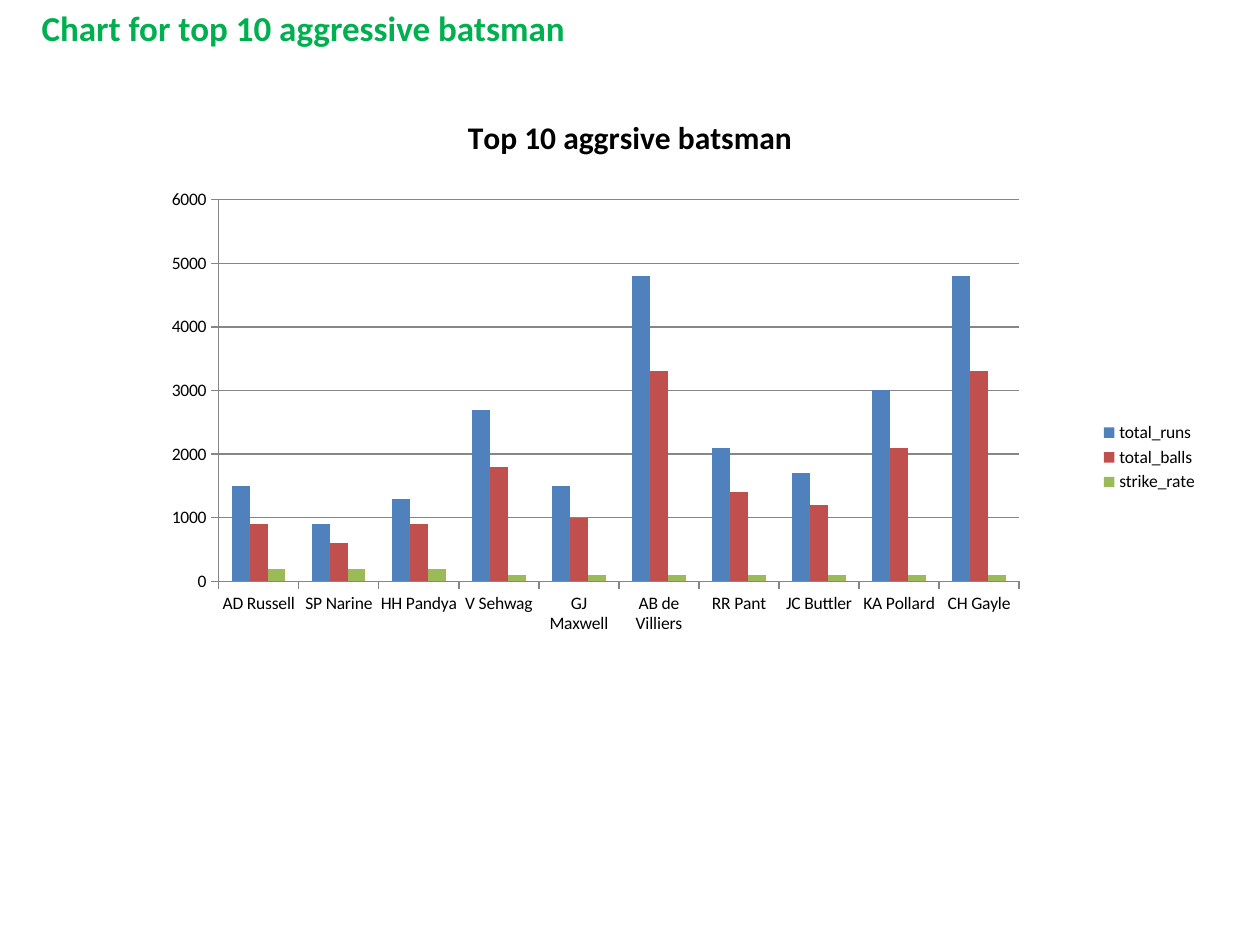
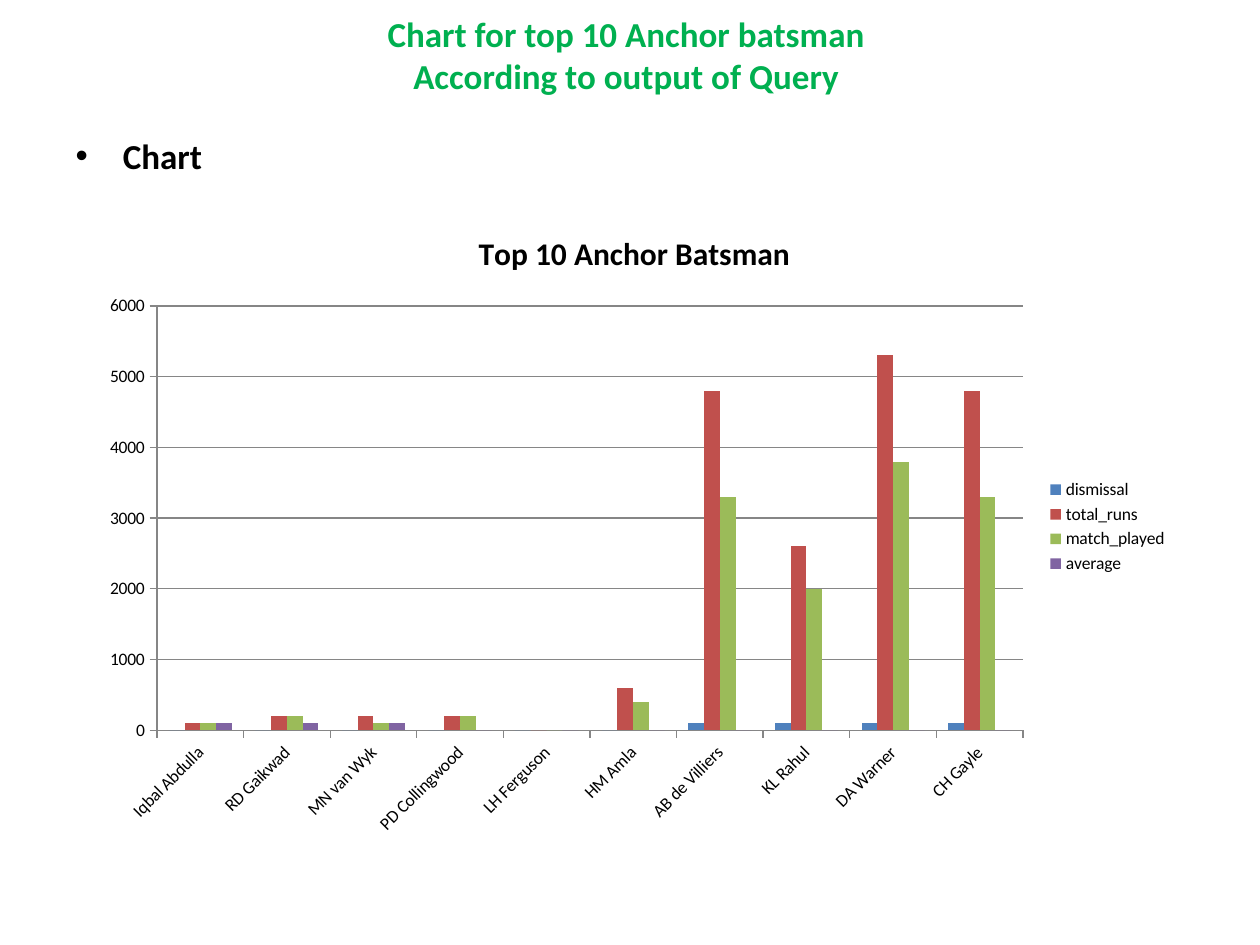
from lxml.etree import SubElement, Element
from pptx import Presentation
from pptx.chart.data import CategoryChartData as ChartData
from pptx.dml.color import RGBColor
from pptx.enum.chart import XL_CHART_TYPE as ChartKind, XL_LEGEND_POSITION as LegendSide
from pptx.enum.chart import XL_TICK_MARK as TickMark
from pptx.enum.text import MSO_ANCHOR as Anchor, PP_ALIGN as Align
from pptx.oxml.ns import qn
from pptx.util import Inches, Pt

GREEN, BLACK, GRID = "00B050", "000000", "868686"
SERIES_COLOURS = ["4F81BD", "C0504D", "9BBB59", "8064A2"]
HEADING = {"name": "Calibri", "size": Pt(20), "bold": True}
CHART_TITLE = {"name": "Calibri", "size": Pt(18), "bold": True}
CHART_TEXT = {"name": "Calibri", "size": Pt(10)}
TITLE_ONLY, TITLE_AND_BODY = 5, 1

SLIDES = [
    {
        "layout": TITLE_ONLY,
        "title": "Chart for top 10 aggressive batsman",
        "title_at": (0.23, 0, 9.77, 7.34),
        "title_style": (Align.LEFT, Anchor.TOP, Pt(4)),
        "chart_title": "Top 10 aggrsive batsman",
        "chart_at": (0.39, 0.7, 9.22, 5.86),
        "plot_at": {"x": 0.146, "y": 0.151, "w": 0.689, "h": 0.517},
        "batsmen": ["AD Russell", "SP Narine", "HH Pandya", "V Sehwag", "GJ Maxwell",
                    "AB de Villiers", "RR Pant", "JC Buttler", "KA Pollard", "CH Gayle"],
        "series": {
            "total_runs": [1500, 900, 1300, 2700, 1500, 4800, 2100, 1700, 3000, 4800],
            "total_balls": [900, 600, 900, 1800, 1000, 3300, 1400, 1200, 2100, 3300],
            "strike_rate": [200, 200, 200, 100, 100, 100, 100, 100, 100, 100],
        },
    },
    {
        "layout": TITLE_AND_BODY,
        "title": "Chart for top 10 Anchor batsman\vAccording to output of Query",
        "title_at": (0.47, 0, 9, 0.87),
        "title_style": (Align.CENTER, Anchor.MIDDLE, Pt(0)),
        "body": "Chart",
        "body_at": (0.5, 1.02, 9, 6.25),
        "chart_title": "Top 10 Anchor Batsman",
        "chart_at": (0.7, 1.64, 8.67, 5.08),
        "batsmen": ["Iqbal Abdulla", "RD Gaikwad", "MN van Wyk", "PD Collingwood", "LH Ferguson",
                    "HM Amla", "AB de Villiers", "KL Rahul", "DA Warner", "CH Gayle"],
        "series": {
            "dismissal": [0, 0, 0, 0, 0, 0, 100, 100, 100, 100],
            "total_runs": [100, 200, 200, 200, 0, 600, 4800, 2600, 5300, 4800],
            "match_played": [100, 200, 100, 200, 0, 400, 3300, 2000, 3800, 3300],
            "average": [100, 100, 100, 0, 0, 0, 0, 0, 0, 0],
        },
    },
]


def colour(hex_code):
    return RGBColor.from_string(hex_code)


def style_font(font, formats, hex_code):
    for name, value in formats.items():
        setattr(font, name, value)
    font.color.rgb = colour(hex_code)


def fill_placeholder(box, text, at, hex_code):
    box.left, box.top, box.width, box.height = map(Inches, at)
    para = box.text_frame.paragraphs[0]
    para.text = text
    for span in para.runs:
        style_font(span.font, HEADING, hex_code)
    return para


def place_plot(chart, plot_at):
    plot_area = chart.element.find(".//" + qn("c:plotArea"))
    for old in plot_area.findall(qn("c:layout")):
        plot_area.remove(old)
    layout = Element(qn("c:layout"))
    plot_area.insert(0, layout)
    manual = SubElement(layout, qn("c:manualLayout"))
    settings = {"layoutTarget": "inner", "xMode": "edge", "yMode": "edge", **plot_at}
    for name, value in settings.items():
        SubElement(manual, qn("c:" + name)).set("val", str(value))


def add_batsman_chart(page, content):
    data = ChartData()
    data.categories = content["batsmen"]
    for name, values in content["series"].items():
        data.add_series(name, values)
    chart = page.shapes.add_chart(
        ChartKind.COLUMN_CLUSTERED, *map(Inches, content["chart_at"]), data).chart
    style_font(chart.font, CHART_TEXT, BLACK)

    chart.has_title = True
    chart.chart_title.include_in_layout = False
    para = chart.chart_title.text_frame.paragraphs[0]
    para.text = content["chart_title"]
    style_font(para.runs[0].font, CHART_TITLE, BLACK)

    chart.has_legend = True
    chart.legend.position = LegendSide.RIGHT
    chart.legend.include_in_layout = False

    plot = chart.plots[0]
    plot.vary_by_categories = False
    plot.gap_width, plot.overlap = 150, 0
    for series, hex_code in zip(plot.series, SERIES_COLOURS):
        series.format.fill.solid()
        series.format.fill.fore_color.rgb = colour(hex_code)

    chart.category_axis.has_major_gridlines = False
    chart.value_axis.has_major_gridlines = True
    for axis in (chart.category_axis, chart.value_axis):
        axis.major_tick_mark = TickMark.OUTSIDE
    for part in (chart.category_axis, chart.value_axis, chart.value_axis.major_gridlines):
        part.format.line.color.rgb = colour(GRID)
        part.format.line.width = Pt(0.75)
    if "plot_at" in content:
        place_plot(chart, content["plot_at"])


def add_page(deck, content):
    page = deck.slides.add_slide(deck.slide_layouts[content["layout"]])
    title = page.shapes.title
    para = fill_placeholder(title, content["title"], content["title_at"], GREEN)
    para.alignment, title.text_frame.vertical_anchor, para.space_before = content["title_style"]
    if "body" in content:
        fill_placeholder(page.placeholders[1], content["body"], content["body_at"], BLACK)
    add_batsman_chart(page, content)


def main():
    deck = Presentation()
    deck.slide_width, deck.slide_height = Inches(10), Inches(7.5)
    for content in SLIDES:
        add_page(deck, content)
    deck.save("out.pptx")


if __name__ == "__main__":
    main()
